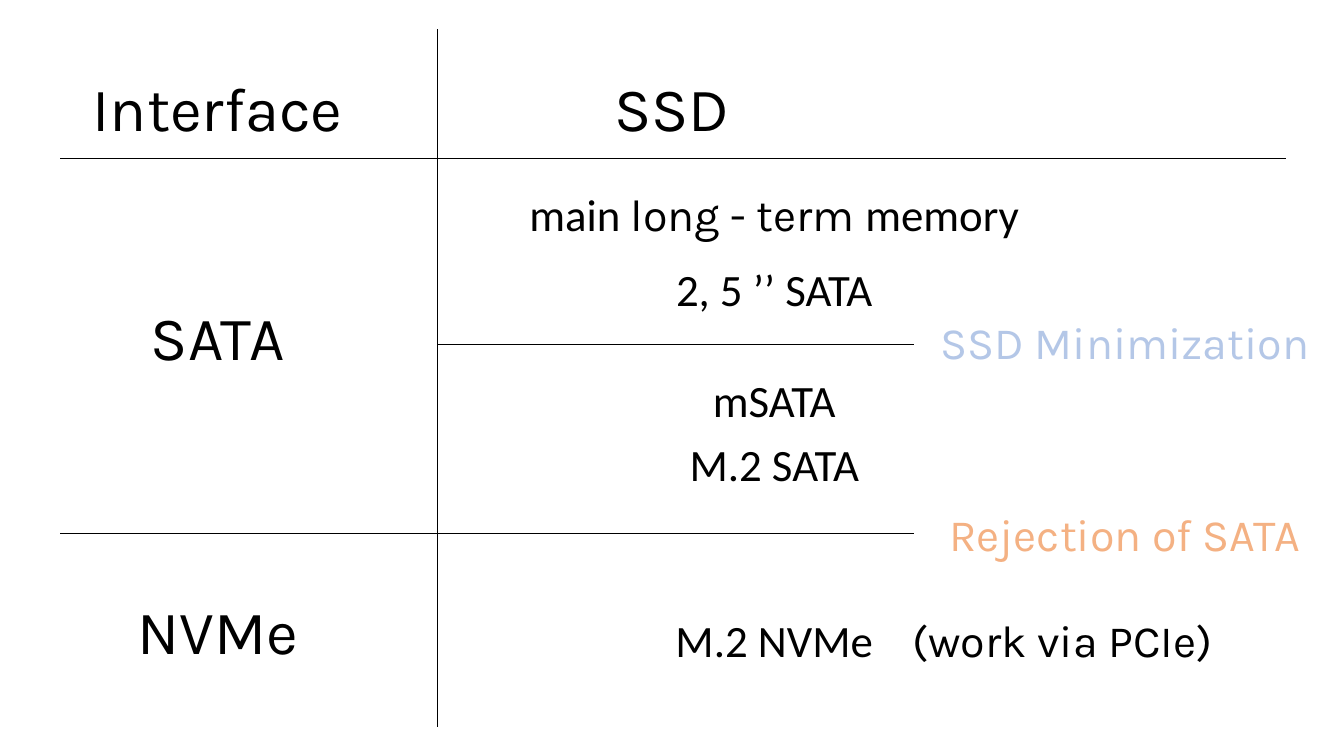
from dataclasses import dataclass

from lxml.etree import SubElement
from pptx import Presentation
from pptx.dml.color import RGBColor
from pptx.enum.shapes import MSO_CONNECTOR
from pptx.enum.text import MSO_ANCHOR, MSO_AUTO_SIZE, PP_ALIGN
from pptx.oxml.ns import qn
from pptx.util import Inches, Pt


@dataclass(frozen=True)
class Theme:
    ink: str = "000000"
    minimization: str = "B4C7E7"
    rejection: str = "F4B183"
    display: str = "Karla"
    body: str = "Calibri"
    title_size: int = 44
    item_size: int = 32
    rule_width: float = 0.5


THEME = Theme()
SLIDE_W, SLIDE_H = 13.33, 7.5

# Horizontal centre and width of each text column
COLUMNS = {
    "interface": (2.16, 3.59),
    "interface header": (2.16, 7.51),
    "ssd header": (SLIDE_W / 2, 7.51),
    "drive": (7.68, 5.9),
    "remark": (10.54, 5.9),
    "trend": (11.16, 5.9),
}
HEADER_RULE, SIZE_RULE, SATA_RULE = 1.57, 3.42, 5.29
LEFT, DIVIDER, SHORT_END, RIGHT = 0.6, 4.34, 9.07, 12.75
MARGIN = 0.29

# Column, vertical centre, text
TITLES = [
    ("ssd header", 1.06, "SSD"),
    ("interface header", 1.06, "Interface"),
    ("interface", 3.33, "SATA"),
    ("interface", 6.25, "NVMe"),
]
# Column, vertical centre, colour, runs as (text, font)
ITEMS = [
    ("drive", 2.12, THEME.ink, [("main ", THEME.body),
                                ("long - term", THEME.display),
                                (" memory", THEME.body)]),
    ("drive", 2.86, THEME.ink, [("2, 5 ’’ SATA", THEME.body)]),
    ("drive", 3.96, THEME.ink, [("mSATA", THEME.body)]),
    ("drive", 4.6, THEME.ink, [("M.2 SATA", THEME.body)]),
    ("drive", 6.35, THEME.ink, [("M.2 NVMe", THEME.body)]),
    ("remark", 6.35, THEME.ink, [("(work via PCIe)", THEME.display)]),
    ("trend", SIZE_RULE - 0.03, THEME.minimization,
     [("SSD Minimization", THEME.display)]),
    ("trend", SATA_RULE, THEME.rejection,
     [("Rejection of SATA", THEME.display)]),
]
# Start x, start y, end x, end y
RULES = [
    (LEFT, HEADER_RULE, RIGHT, HEADER_RULE),
    (DIVIDER, MARGIN, DIVIDER, SLIDE_H - MARGIN),
    (DIVIDER, SIZE_RULE, SHORT_END, SIZE_RULE),
    (LEFT, SATA_RULE, SHORT_END, SATA_RULE),
]


def add_label(slide, column, middle, colour, size, runs):
    """Centre one line of text on its column and vertical middle."""
    centre, width = COLUMNS[column]
    height = size * 1.2 / 72 + 0.1
    box = slide.shapes.add_textbox(
        Inches(centre - width / 2), Inches(middle - height / 2),
        Inches(width), Inches(height))
    frame = box.text_frame
    layout = {"word_wrap": True, "auto_size": MSO_AUTO_SIZE.SHAPE_TO_FIT_TEXT,
              "vertical_anchor": MSO_ANCHOR.TOP}
    for name, value in layout.items():
        setattr(frame, name, value)
    line = frame.paragraphs[0]
    line.alignment = PP_ALIGN.CENTER
    for text, font in runs:
        run = line.add_run()
        run.text = text
        for name, value in {"name": font, "size": Pt(size)}.items():
            setattr(run.font, name, value)
        run.font.color.rgb = RGBColor.from_string(colour)


def add_rule(slide, ends):
    rule = slide.shapes.add_connector(
        MSO_CONNECTOR.STRAIGHT, *(Inches(end) for end in ends))
    rule.line.width = Pt(THEME.rule_width)
    rule.line.color.rgb = RGBColor.from_string(THEME.ink)
    SubElement(rule._element.spPr, qn("a:effectLst"))


def main():
    deck = Presentation()
    deck.slide_width, deck.slide_height = Inches(SLIDE_W), Inches(SLIDE_H)
    slide = deck.slides.add_slide(deck.slide_layouts[6])
    for ends in RULES:
        add_rule(slide, ends)
    for column, middle, text in TITLES:
        add_label(slide, column, middle, THEME.ink, THEME.title_size,
                  [(text, THEME.display)])
    for column, middle, colour, runs in ITEMS:
        add_label(slide, column, middle, colour, THEME.item_size, runs)
    deck.save("out.pptx")


if __name__ == "__main__":
    main()
